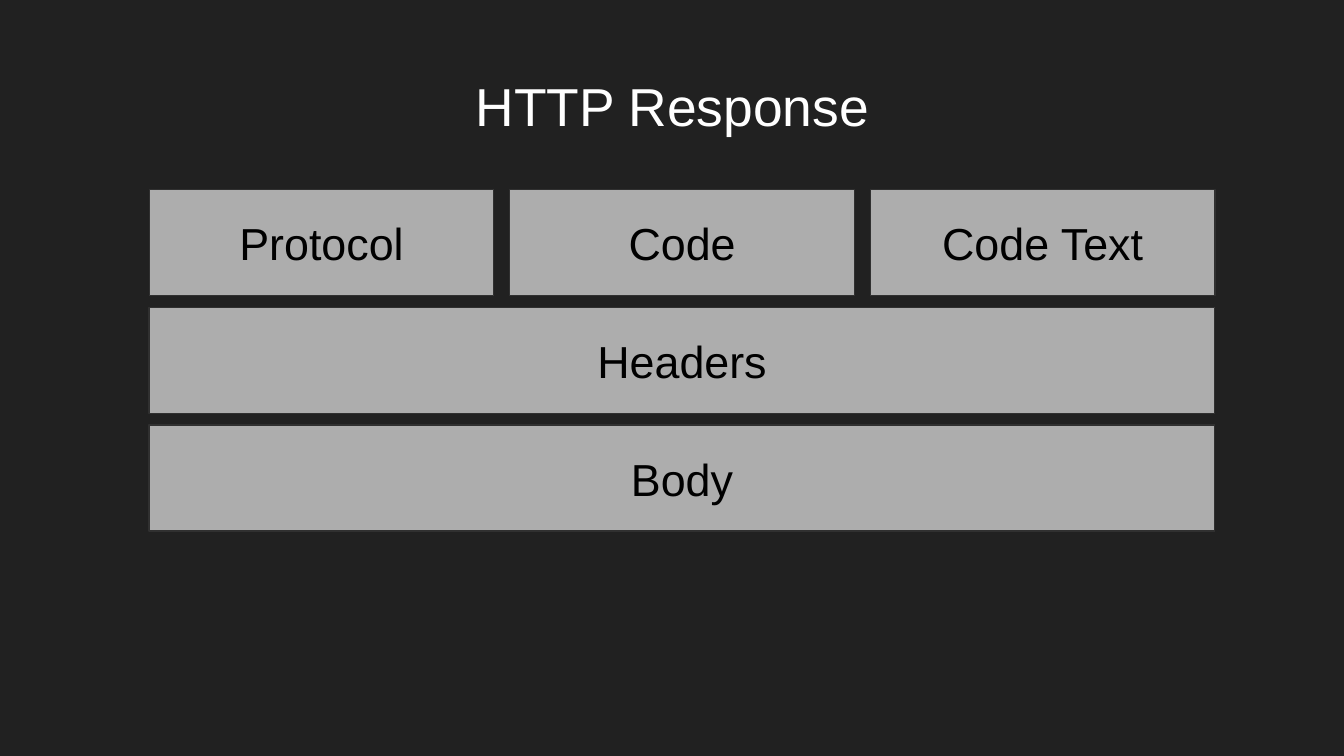
from dataclasses import dataclass

from pptx import Presentation
from pptx.dml.color import RGBColor
from pptx.enum.shapes import MSO_SHAPE
from pptx.enum.text import MSO_ANCHOR, MSO_AUTO_SIZE, PP_ALIGN
from pptx.util import Cm, Pt


@dataclass(frozen=True)
class Theme:
    """Colours, font and type sizes of the slide."""
    background: str = "212121"
    title: str = "FFFFFF"
    block: str = "ADADAD"
    outline: str = "303030"
    label: str = "000000"
    font: str = "Arial"
    title_size: float = 28.6
    label_size: float = 24


THEME = Theme()
ROWS = [["Protocol", "Code", "Code Text"], ["Headers"], ["Body"]]


def set_text(sp, text, *, size, color, anchor=MSO_ANCHOR.MIDDLE, spacing=None):
    """Write one centred paragraph into a shape."""
    tf = sp.text_frame
    tf.word_wrap = True
    tf.auto_size = MSO_AUTO_SIZE.NONE
    tf.vertical_anchor = anchor
    tf.margin_left = tf.margin_right = tf.margin_top = tf.margin_bottom = Cm(0.25)
    p = tf.paragraphs[0]
    p.alignment = PP_ALIGN.CENTER
    p.line_spacing = spacing
    r = p.add_run()
    r.text = text
    r.font.name = THEME.font
    r.font.size = Pt(size)
    r.font.color.rgb = RGBColor.from_string(color)


def place_title(s, text, left, top, width, height):
    """Move and format the title placeholder."""
    sp = s.shapes.title
    sp.left, sp.top, sp.width, sp.height = map(Cm, (left, top, width, height))
    set_text(sp, text, size=THEME.title_size, color=THEME.title,
             anchor=MSO_ANCHOR.BOTTOM, spacing=0.8)


def add_block(s, text, left, top, width, height):
    """Draw one labelled part of the message."""
    sp = s.shapes.add_shape(MSO_SHAPE.RECTANGLE, *map(Cm, (left, top, width, height)))
    sp.shadow.inherit = False
    sp.fill.solid()
    sp.fill.fore_color.rgb = RGBColor.from_string(THEME.block)
    sp.line.color.rgb = RGBColor.from_string(THEME.outline)
    sp.line.width = Pt(0.75)
    set_text(sp, text, size=THEME.label_size, color=THEME.label)


def add_message(s, rows, left, top, width, height, col_gap=0.3, row_gap=0.22):
    """Fill the box with equal rows, each split into equal blocks."""
    row_height = (height - row_gap * (len(rows) - 1)) / len(rows)
    for i, labels in enumerate(rows):
        block_width = (width - col_gap * (len(labels) - 1)) / len(labels)
        for j, label in enumerate(labels):
            add_block(s, label, left + j * (block_width + col_gap),
                      top + i * (row_height + row_gap), block_width, row_height)


def main():
    """Build and save the slide."""
    prs = Presentation()
    prs.slide_width, prs.slide_height = Cm(25.4), Cm(14.29)
    s = prs.slides.add_slide(prs.slide_layouts.get_by_name("Title Only"))
    s.background.fill.solid()
    s.background.fill.fore_color.rgb = RGBColor.from_string(THEME.background)
    place_title(s, "HTTP Response", 0.87, 1.24, 23.67, 1.6)
    add_message(s, ROWS, 2.82, 3.58, 20.14, 6.46)
    prs.save("out.pptx")


if __name__ == "__main__":
    main()
